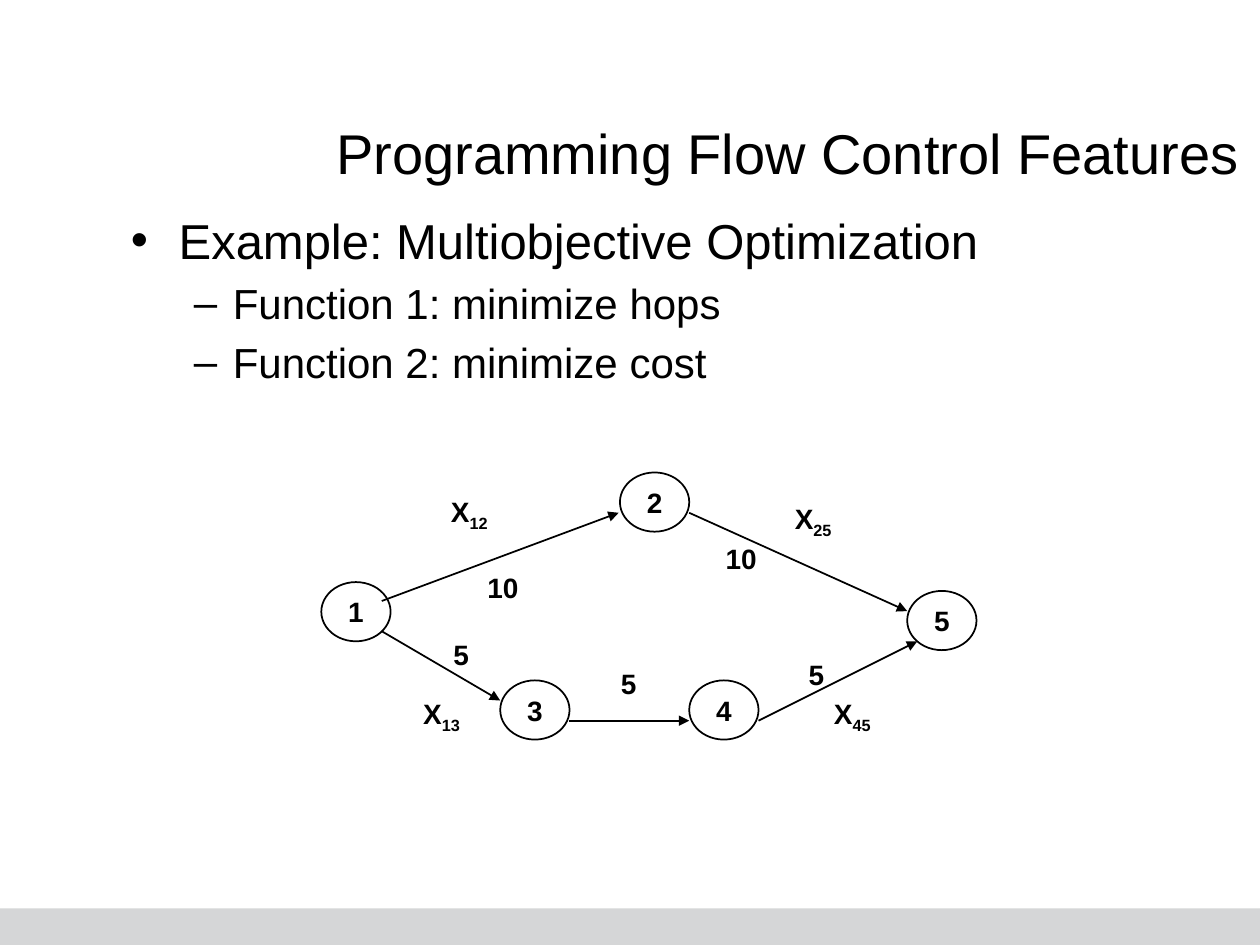
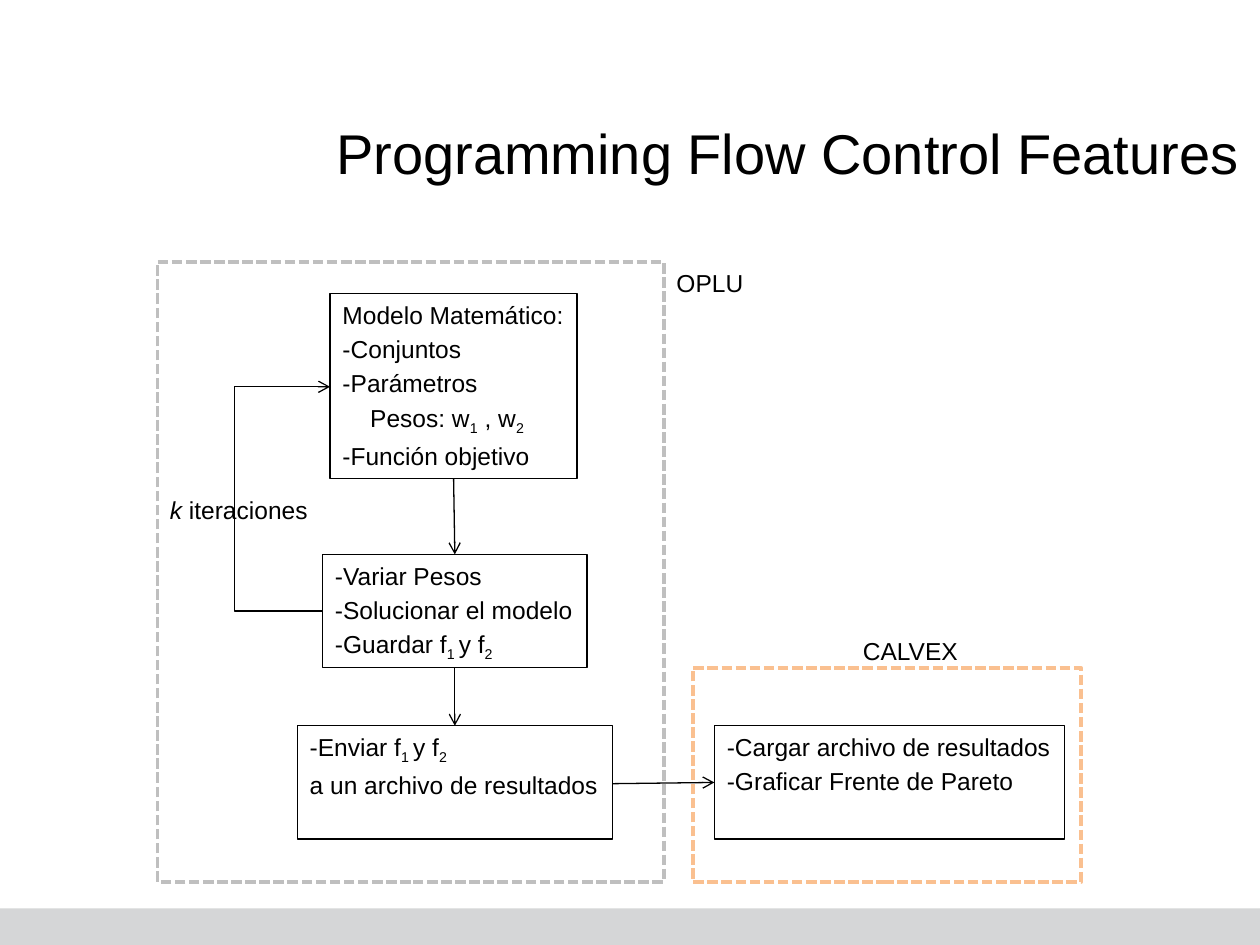
from pptx import Presentation
from pptx.dml.color import RGBColor
from pptx.enum.dml import MSO_LINE
from pptx.enum.shapes import MSO_CONNECTOR, MSO_SHAPE
from pptx.enum.text import MSO_ANCHOR, PP_ALIGN
from pptx.oxml.ns import qn
from pptx.util import Inches, Pt
from lxml import etree

RECT, OVAL = MSO_SHAPE.RECTANGLE, MSO_SHAPE.OVAL
LINE, ELBOW = MSO_CONNECTOR.STRAIGHT, MSO_CONNECTOR.ELBOW
DASH = MSO_LINE.SQUARE_DOT
TOP, MID = MSO_ANCHOR.TOP, MSO_ANCHOR.MIDDLE
LEFT, MIDDLE, RIGHT = PP_ALIGN.LEFT, PP_ALIGN.CENTER, PP_ALIGN.RIGHT
BLACK, WHITE, GREY, ORANGE, BAND = "000000", "FFFFFF", "BFBFBF", "FAC090", "D5D6D7"
TITLE = {"name": "Arial", "size": Pt(32)}
HEAD = {"name": "Arial", "size": Pt(28)}
ITEM = {"name": "Arial", "size": Pt(24)}
BOLD = {"name": "Arial", "size": Pt(16), "bold": True}
PLAIN = {"name": "Arial", "size": Pt(14)}


def tint(code):
    return RGBColor.from_string(code)


def write(shape, lines, look, align=LEFT, anchor=TOP, wrap=False, gap=2.8):
    frame = shape.text_frame
    frame.word_wrap, frame.vertical_anchor = wrap, anchor
    for n, line in enumerate(lines):
        para = frame.add_paragraph() if n else frame.paragraphs[0]
        para.alignment = align
        para.space_before = Pt(gap if n else 0)
        for i, part in enumerate(line.split("~")):
            if not part:
                continue
            run = para.add_run()
            run.text = part
            for key, value in look.items():
                setattr(run.font, key, value)
            run.font.color.rgb = tint(BLACK)
            if i % 2:
                run.font._element.set("baseline", "-25000")
    return frame.paragraphs


deck = Presentation()
deck.slide_width, deck.slide_height = Inches(10), Inches(7.5)

slides = []
for n in range(2):
    slide = deck.slides.add_slide(deck.slide_layouts[5])
    band = slide.shapes.add_shape(RECT, 0, Inches(7.21), Inches(10), Inches(0.29))
    band.shadow.inherit = False
    band.fill.solid()
    band.fill.fore_color.rgb = tint(BAND)
    band.line.fill.background()
    title = slide.shapes.title
    title.left, title.top = Inches(0.94), Inches(0.83)
    title.width, title.height = Inches(9), Inches(0.75)
    write(title, ["Programming Flow Control Features"], TITLE, RIGHT, MID, True)
    slides.append(slide)
graph, flow = [slide.shapes for slide in slides]

goals = [
    ("Example: Multiobjective Optimization", HEAD, "•", 0.38, 0.38),
    ("Function 1: minimize hops", ITEM, "–", 0.81, 0.31),
    ("Function 2: minimize cost", ITEM, "–", 0.81, 0.31),
]
body = graph.add_textbox(Inches(0.94), Inches(1.62), Inches(9), Inches(5.71))
paras = write(body, [goal[0] for goal in goals], ITEM, wrap=True, gap=4.8)
for para, (text, look, mark, left, hang) in zip(paras, goals):
    para.runs[0].font.size = look["size"]
    props = para._p.get_or_add_pPr()
    props.set("marL", str(Inches(left)))
    props.set("indent", str(-Inches(hang)))
    etree.SubElement(props, qn("a:buFont")).set("typeface", "Arial")
    etree.SubElement(props, qn("a:buChar")).set("char", mark)

nodes = [(2.55, 4.62), (4.92, 3.75), (3.97, 5.4), (5.47, 5.4), (7.2, 4.69)]
for n, (x, y) in enumerate(nodes, 1):
    node = graph.add_shape(OVAL, Inches(x), Inches(y), Inches(0.55), Inches(0.47))
    node.shadow.inherit = False
    node.fill.solid()
    node.fill.fore_color.rgb = tint(WHITE)
    node.line.color.rgb = tint(BLACK)
    node.line.width = Pt(1)
    write(node, [str(n)], BOLD, MIDDLE, MID)

tags = [
    ("X~12", 3.48, 3.88, 0.52), ("X~13", 3.26, 5.48, 0.52),
    ("X~25", 6.21, 3.93, 0.52), ("X~45", 6.52, 5.48, 0.52),
    ("10", 3.77, 4.48, 0.45), ("10", 5.66, 4.25, 0.45),
    ("5", 3.5, 5.01, 0.33), ("5", 6.32, 5.17, 0.33), ("5", 4.83, 5.24, 0.33),
]
for text, x, y, wide in tags:
    tag = graph.add_textbox(Inches(x), Inches(y), Inches(wide), Inches(0.37))
    write(tag, [text], BOLD)

frames = [(1.25, 2.08, 4.02, 4.92, GREY), (5.5, 5.3, 3.08, 1.7, ORANGE)]
steps = [
    (2.62, 2.33, 1.96, 1.47, BLACK, "Modelo Matemático:", "-Conjuntos", "-Parámetros",
     "Pesos: w~1~ , w~2", "-Función objetivo"),
    (2.56, 4.4, 2.1, 0.9, BLACK, "-Variar Pesos", "-Solucionar el modelo",
     "-Guardar f~1 ~y f~2"),
    (2.36, 5.76, 2.5, 0.9, BLACK, "-Enviar f~1 ~y f~2", "a un archivo de resultados"),
    (5.67, 5.76, 2.78, 0.9, BLACK, "-Cargar archivo de resultados",
     "-Graficar Frente de Pareto"),
]
for x, y, wide, high, edge, *lines in frames + steps:
    box = flow.add_shape(RECT, Inches(x), Inches(y), Inches(wide), Inches(high))
    box.shadow.inherit = False
    box.fill.background()
    box.line.color.rgb = tint(edge)
    box.line.width = Pt(0.75 if lines else 2)
    if not lines:
        box.line.dash_style = DASH
    for para in write(box, lines, PLAIN):
        if para.text.startswith("Pesos"):
            para._p.get_or_add_pPr().set("marL", str(Inches(0.22)))

notes = [
    ("OPLU", 5.27, 2.08, 0.78), ("CALVEX", 6.75, 5, 0.97),
    ("k iteraciones", 1.25, 3.88, 1.33),
]
for text, x, y, wide in notes:
    note = flow.add_textbox(Inches(x), Inches(y), Inches(wide), Inches(0.34))
    paras = write(note, [text], PLAIN)
    if text.startswith("k "):
        first = paras[0].runs[0]
        first.text, first.font.italic = "k", True
        rest = paras[0].add_run()
        rest.text = text[1:]
        for key, value in PLAIN.items():
            setattr(rest.font, key, value)
        rest.font.color.rgb = tint(BLACK)

edges = [
    (3.03, 4.77, 4.91, 4.07), (5.47, 4.07, 7.2, 4.85), (3.03, 5.01, 3.97, 5.56),
    (4.52, 5.72, 5.47, 5.72), (6.02, 5.72, 7.28, 5.09),
]
links = [
    (3.6, 3.8, 3.61, 4.4), (3.61, 5.3, 3.61, 5.76), (4.86, 6.22, 5.67, 6.21),
    (2.56, 4.85, 2.62, 3.07),
]
groups = [(graph, edges, 1, "triangle"), (flow, links, 0.75, "arrow")]
for shapes, ends, weight, tip in groups:
    for end in ends:
        bent = end == links[-1]
        link = shapes.add_connector(ELBOW if bent else LINE, *map(Inches, end))
        link.line.color.rgb = tint(BLACK)
        link.line.width = Pt(weight)
        props = link._element.spPr
        etree.SubElement(props.find(qn("a:ln")), qn("a:tailEnd")).set("type", tip)
        etree.SubElement(props, qn("a:effectLst"))
        if bent:
            guide = etree.SubElement(props.find(".//" + qn("a:avLst")), qn("a:gd"))
            guide.set("name", "adj1")
            guide.set("fmla", "val -1166667")

deck.save("out.pptx")
